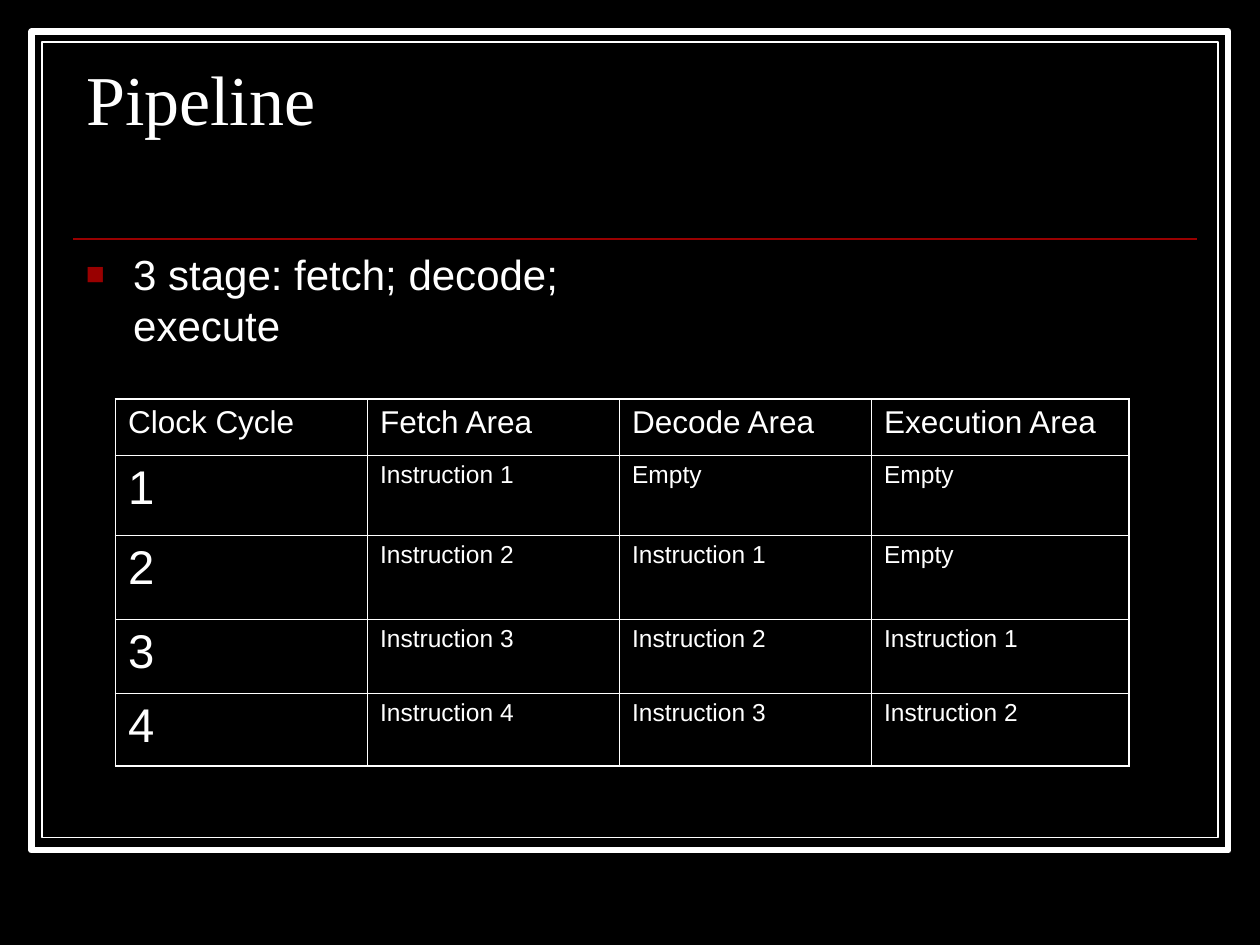
"""Build the Pipeline slide with its three-stage clock cycle table."""
from lxml import etree
from pptx import Presentation
from pptx.dml.color import RGBColor
from pptx.enum.shapes import MSO_CONNECTOR, MSO_SHAPE
from pptx.enum.text import MSO_ANCHOR, PP_ALIGN
from pptx.oxml.ns import qn
from pptx.util import Pt

RECTANGLE = MSO_SHAPE.RECTANGLE
STRAIGHT = MSO_CONNECTOR.STRAIGHT
TOP = MSO_ANCHOR.TOP
LEFT = PP_ALIGN.LEFT

BLACK, WHITE, RED = "000000", "FFFFFF", "990000"
TITLE = "Pipeline"
BULLET = "3 stage: fetch; decode; execute"
ROWS = [
    ["Clock Cycle", "Fetch Area", "Decode Area", "Execution Area"],
    ["1", "Instruction 1", "Empty", "Empty"],
    ["2", "Instruction 2", "Instruction 1", "Empty"],
    ["3", "Instruction 3", "Instruction 2", "Instruction 1"],
    ["4", "Instruction 4", "Instruction 3", "Instruction 2"],
]
FRAMES = [((18, 18, 684, 468), 3.5), ((24, 24, 672, 454.5), 0.75)]
COLUMN_WIDTHS = [144, 144, 144, 147]
ROW_HEIGHTS = [32.25, 45.75, 48, 42, 42]
OUTER_BORDER, INNER_BORDER = 1.08, 0.45
HEADER_SIZE, CYCLE_SIZE, STAGE_SIZE = 18, 27, 14


def color(value):
    return RGBColor.from_string(value)


def points(*lengths):
    return [Pt(length) for length in lengths]


def place(shape, *box):
    shape.left, shape.top, shape.width, shape.height = points(*box)


def write(frame, text, size, font="Arial", spacing=None, bullet=False):
    frame.word_wrap = True
    frame.vertical_anchor = TOP
    paragraph = frame.paragraphs[0]
    paragraph.text = text
    paragraph.alignment = LEFT
    paragraph.space_before = Pt(0)
    if spacing:
        paragraph.line_spacing = spacing
    if bullet:
        add_bullet(paragraph)
    run_font = paragraph.runs[0].font
    run_font.name, run_font.size, run_font.bold = font, Pt(size), False
    run_font.color.rgb = color(WHITE)


def add_bullet(paragraph):
    properties = paragraph._p.get_or_add_pPr()
    properties.set("marL", str(Pt(27)))
    properties.set("indent", str(Pt(-27)))
    bullet_color = etree.SubElement(properties, qn("a:buClr"))
    etree.SubElement(bullet_color, qn("a:srgbClr"), val=RED)
    etree.SubElement(properties, qn("a:buSzPct"), val="75000")
    etree.SubElement(properties, qn("a:buFont"), typeface="Arial")
    etree.SubElement(properties, qn("a:buChar"), char="■")


def add_border(cell, side, width):
    properties = cell._tc.get_or_add_tcPr()
    line = etree.SubElement(properties, qn("a:ln" + side), w=str(Pt(width)))
    fill = etree.SubElement(line, qn("a:solidFill"))
    etree.SubElement(fill, qn("a:srgbClr"), val=WHITE)


def add_frames(slide):
    for box, width in FRAMES:
        frame = slide.shapes.add_shape(RECTANGLE, *points(*box))
        frame.shadow.inherit = False
        frame.fill.solid()
        frame.fill.fore_color.rgb = color(BLACK)
        frame.line.color.rgb = color(WHITE)
        frame.line.width = Pt(width)


def add_divider(slide):
    divider = slide.shapes.add_connector(STRAIGHT, *points(42, 136.5, 684, 136.5))
    divider.line.color.rgb = color(RED)
    divider.line.width = Pt(1)
    etree.SubElement(divider._element.spPr, qn("a:effectLst"))


def add_title(slide):
    title = slide.shapes.title
    title.element.getparent().append(title.element)
    place(title, 42, 37.5, 642, 90)
    write(title.text_frame, TITLE, 40, font="Times New Roman", spacing=0.8)


def add_cycle_table(slide):
    row_count, column_count = len(ROWS), len(COLUMN_WIDTHS)
    box = points(66, 228, sum(COLUMN_WIDTHS), sum(ROW_HEIGHTS))
    table = slide.shapes.add_table(row_count, column_count, *box).table
    table.first_row = table.horz_banding = False
    for column, width in zip(table.columns, COLUMN_WIDTHS):
        column.width = Pt(width)
    for row, height in zip(table.rows, ROW_HEIGHTS):
        row.height = Pt(height)
    for i, texts in enumerate(ROWS):
        for j, text in enumerate(texts):
            cell = table.cell(i, j)
            size = HEADER_SIZE if i == 0 else CYCLE_SIZE if j == 0 else STAGE_SIZE
            write(cell.text_frame, text, size)
            cell.vertical_anchor = TOP
            edges = {"L": j == 0, "R": j == column_count - 1,
                     "T": i == 0, "B": i == row_count - 1}
            for side, is_outer in edges.items():
                add_border(cell, side, OUTER_BORDER if is_outer else INNER_BORDER)
            cell.fill.background()


def main():
    presentation = Presentation()
    presentation.slide_width, presentation.slide_height = points(720, 540)
    slide = presentation.slides.add_slide(presentation.slide_layouts[5])
    slide.background.fill.solid()
    slide.background.fill.fore_color.rgb = color(BLACK)
    add_frames(slide)
    add_divider(slide)
    add_title(slide)
    body = slide.shapes.add_textbox(*points(42, 138.25, 314.5, 318))
    write(body.text_frame, BULLET, 24, spacing=Pt(29), bullet=True)
    add_cycle_table(slide)
    presentation.save("out.pptx")


if __name__ == "__main__":
    main()
